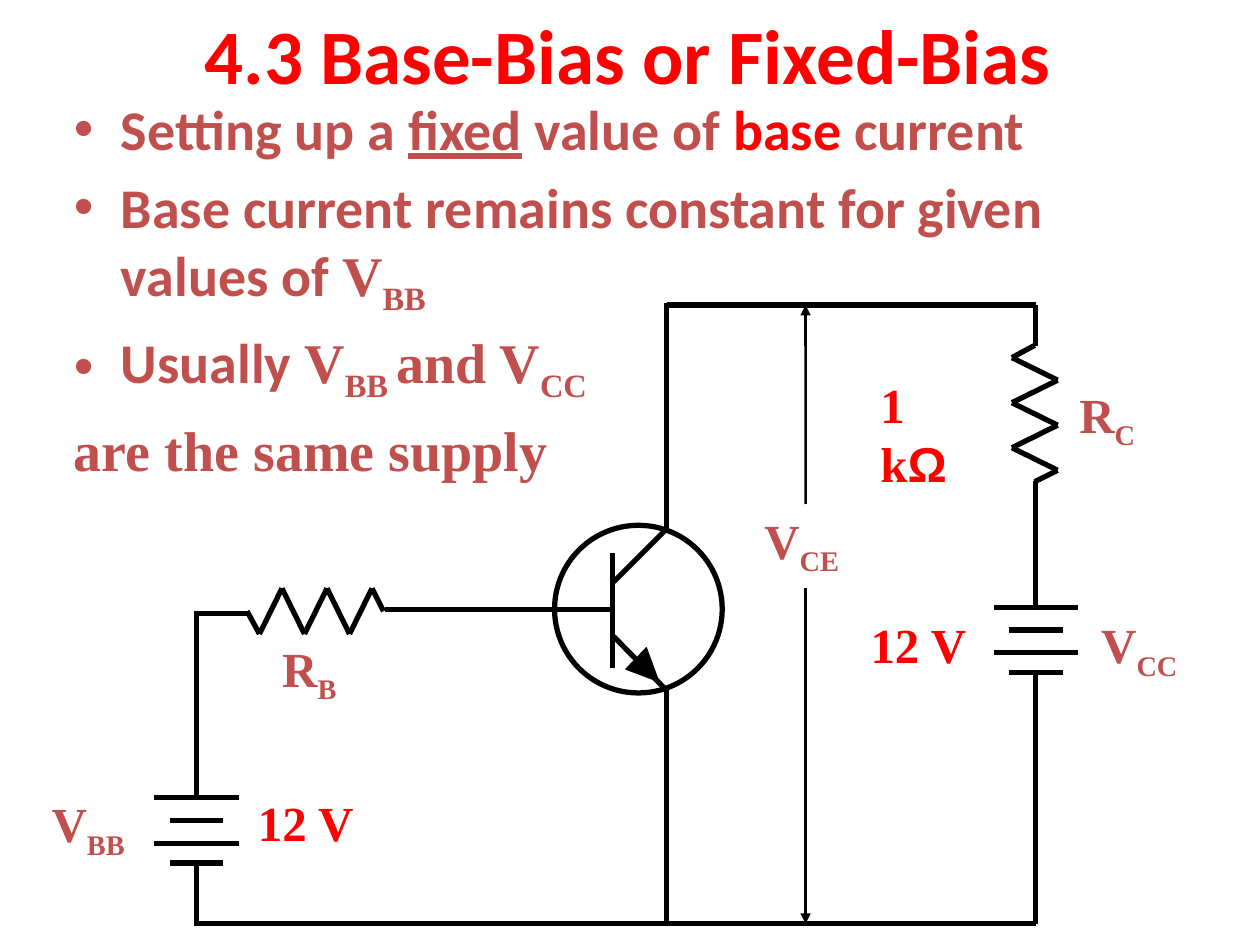
"""Draw the fixed-bias transistor circuit slide."""
from dataclasses import dataclass
from itertools import pairwise
from lxml import etree
from pptx import Presentation
from pptx import util as u
from pptx.dml.color import RGBColor
from pptx.enum import shapes, text
from pptx.oxml import ns

RED = RGBColor(0xFF, 0x00, 0x00)
BRICK = RGBColor(0xC0, 0x50, 0x4D)
BLACK = RGBColor(0x00, 0x00, 0x00)
SANS, SERIF, OHM = "Calibri", "Times New Roman", "Arial"
LEFT, MID, RIGHT, TOP, BASE = 3.96, 13.44, 20.88, 6.15, 18.62


@dataclass(frozen=True)
class Run:
    words: str
    sub: bool = False
    face: str | None = None
    color: RGBColor | None = None
    under: bool = False


@dataclass(frozen=True)
class Para:
    runs: tuple[Run, ...]
    size: float
    face: str = SERIF
    color: RGBColor = BRICK
    dot: bool = False
    space: float = 0
    align: text.PP_ALIGN = text.PP_ALIGN.LEFT


@dataclass(frozen=True)
class Box:
    x: float
    y: float
    w: float
    h: float
    paras: tuple[Para, ...]
    wrap: bool = False
    anchor: text.MSO_ANCHOR = text.MSO_ANCHOR.TOP


@dataclass(frozen=True)
class Wire:
    x1: float
    y1: float
    x2: float
    y2: float
    width: float = 3
    arrow: bool = False


def add_run(para, run: Run) -> None:
    """Add one run, styled only where it differs from its paragraph."""
    part = para.add_run()
    part.text = run.words
    if run.face:
        part.font.name = run.face
    if run.color is not None:
        part.font.color.rgb = run.color
    if run.under:
        part.font.underline = True
    if run.sub:
        part._r.get_or_add_rPr().set("baseline", "-25000")


def add_dot(para) -> None:
    """Give a paragraph a hanging round bullet."""
    props = para._p.get_or_add_pPr()
    props.set("marL", str(u.Cm(0.95)))
    props.set("indent", str(u.Cm(-0.95)))
    etree.SubElement(props, ns.qn("a:buFont")).set("typeface", OHM)
    etree.SubElement(props, ns.qn("a:buChar")).set("char", "•")


def add_box(slide, box: Box):
    """Add a text box with its paragraphs."""
    shape = slide.shapes.add_textbox(*map(u.Cm, (box.x, box.y, box.w, box.h)))
    frame = shape.text_frame
    frame.word_wrap = box.wrap
    frame.vertical_anchor = box.anchor
    for i, item in enumerate(box.paras):
        para = frame.add_paragraph() if i else frame.paragraphs[0]
        para.alignment = item.align
        para.space_before = u.Pt(item.space)
        if item.dot:
            add_dot(para)
        font = para.font
        font.name, font.size, font.bold = item.face, u.Pt(item.size), True
        font.color.rgb = item.color
        for run in item.runs:
            add_run(para, run)
    return shape


def add_wire(slide, wire: Wire):
    """Add a straight black line, with an arrowhead if asked."""
    line = slide.shapes.add_connector(
        shapes.MSO_CONNECTOR.STRAIGHT,
        *map(u.Cm, (wire.x1, wire.y1, wire.x2, wire.y2)))
    line.line.color.rgb = BLACK
    line.line.width = u.Pt(wire.width)
    if wire.arrow:
        stroke = line.line._get_or_add_ln()
        etree.SubElement(stroke, ns.qn("a:tailEnd")).set("type", "triangle")
    etree.SubElement(line._element.spPr, ns.qn("a:effectLst"))
    return line


def add_ohms(slide, x: float, y: float, upright: bool) -> None:
    """Draw a zigzag resistor that starts at x, y."""
    along = [0, *(0.25 + 0.454 * i for i in range(6)), 2.75]
    across = [0, *(0.46 * (-1) ** i for i in range(6)), 0]
    dots = [(x - b, y + a) if upright else (x + a, y + b)
            for a, b in zip(along, across)]
    for start, end in pairwise(dots):
        add_wire(slide, Wire(*start, *end))


def add_cell(slide, x: float, y: float) -> None:
    """Draw a battery of four plates centred on x, below y."""
    for drop, half in ((0, 0.85), (0.46, 0.54), (0.92, 0.85), (1.32, 0.54)):
        add_wire(slide, Wire(x - half, y + drop, x + half, y + drop))


def add_tip(slide) -> None:
    """Draw the emitter's arrowhead."""
    form = slide.shapes.build_freeform(u.Cm(13.28), u.Cm(13.74))
    form.add_line_segments(
        [(u.Cm(13.03), u.Cm(13.06)), (u.Cm(12.62), u.Cm(13.49))], close=True)
    tip = form.convert_to_shape()
    tip.shadow.inherit = False
    tip.fill.solid()
    tip.fill.fore_color.rgb = BLACK
    tip.line.color.rgb = BLACK
    tip.line.width = u.Pt(0.75)


def add_ring(slide) -> None:
    """Draw the circle around the transistor."""
    ring = slide.shapes.add_shape(
        shapes.MSO_SHAPE.OVAL, *map(u.Cm, (11.18, 10.59, 3.38, 3.38)))
    ring.shadow.inherit = False
    ring.fill.background()
    ring.line.color.rgb = BLACK
    ring.line.width = u.Pt(3)


def label(x: float, y: float, w: float, *runs: Run,
          color: RGBColor = BRICK, wrap: bool = False) -> Box:
    """Describe a circuit label."""
    return Box(x, y, w, 1.45, (Para(runs, 28, color=color),), wrap)


def point(*runs: Run, face: str = SANS, dot: bool = True) -> Para:
    """Describe a paragraph of the main text."""
    return Para(runs, 32, face, dot=dot, space=6.4)


TITLE = Box(1.24, 0.3, 22.86, 1.57, (
    Para((Run("4.3 Base-Bias or Fixed-Bias"),), 44, SANS, RED,
         align=text.PP_ALIGN.CENTER),), True, text.MSO_ANCHOR.MIDDLE)
BODY = Box(1.24, 1.78, 22.86, 3.1, (
    point(Run("Setting up a "), Run("fixed", under=True), Run(" value of "),
          Run("base", color=RED), Run(" current")),
    point(Run("Base current remains constant for given values of "),
          Run("V", face=SERIF), Run("BB", True, SERIF)),
    point(Run("Usually ", face=SANS), Run("V"), Run("BB ", True),
          Run("and V"), Run("CC", True), face=SERIF),
    point(Run("are the same supply"), face=SERIF, dot=False)), True)
LABELS = (
    label(21.95, 12.27, 2.18, Run("V"), Run("CC", True)),
    label(21.51, 7.62, 1.7, Run("R"), Run("C", True)),
    label(5.44, 12.75, 1.68, Run("R"), Run("B", True)),
    label(0.79, 15.88, 2.11, Run("V"), Run("BB", True)),
    label(4.95, 15.85, 2.46, Run("12 V"), color=RED),
    label(17.5, 7.42, 2.4, Run("1 k"), Run("Ω", face=OHM), color=RED, wrap=True),
    label(17.3, 12.27, 2.46, Run("12 V"), color=RED))
WIRES = (
    Wire(RIGHT, 9.7, RIGHT, 12.24), Wire(RIGHT, TOP, MID, TOP),
    Wire(RIGHT, TOP, RIGHT, 6.98), Wire(LEFT, BASE, RIGHT, BASE),
    Wire(LEFT, 18.67, LEFT, 17.4), Wire(RIGHT, 13.54, RIGHT, BASE),
    Wire(LEFT, 16.13, LEFT, 12.32), Wire(LEFT, 12.37, 5, 12.37),
    Wire(12.34, 11.15, 12.34, 13.46), Wire(12.37, 12.83, 13.41, 13.89),
    Wire(12.32, 12.29, 7.77, 12.29), Wire(12.37, 11.73, 13.41, 10.69),
    Wire(MID, 10.74, MID, 6.1), Wire(MID, 18.67, MID, 13.84))


def main() -> None:
    """Build and save the slide."""
    deck = Presentation()
    deck.slide_width, deck.slide_height = u.Cm(25.4), u.Cm(19.05)
    slide = deck.slides.add_slide(deck.slide_layouts[6])
    for box in (TITLE, BODY, *LABELS):
        add_box(slide, box)
    add_ohms(slide, 20.86, 6.96, True)
    add_ohms(slide, 4.98, 12.32, False)
    add_cell(slide, RIGHT, 12.24)
    add_cell(slide, LEFT, 16.08)
    for wire in WIRES:
        add_wire(slide, wire)
    add_tip(slide)
    add_ring(slide)
    volts = add_box(slide, label(15.16, 10.16, 2.16, Run("V"), Run("CE", True)))
    rise = add_wire(slide, Wire(16.24, 10.16, 16.24, TOP, 1.5, True))
    rise.begin_connect(volts, 0)
    add_wire(slide, Wire(16.24, 11.86, 16.24, BASE, 1.5, True))
    deck.save("out.pptx")


if __name__ == "__main__":
    main()
